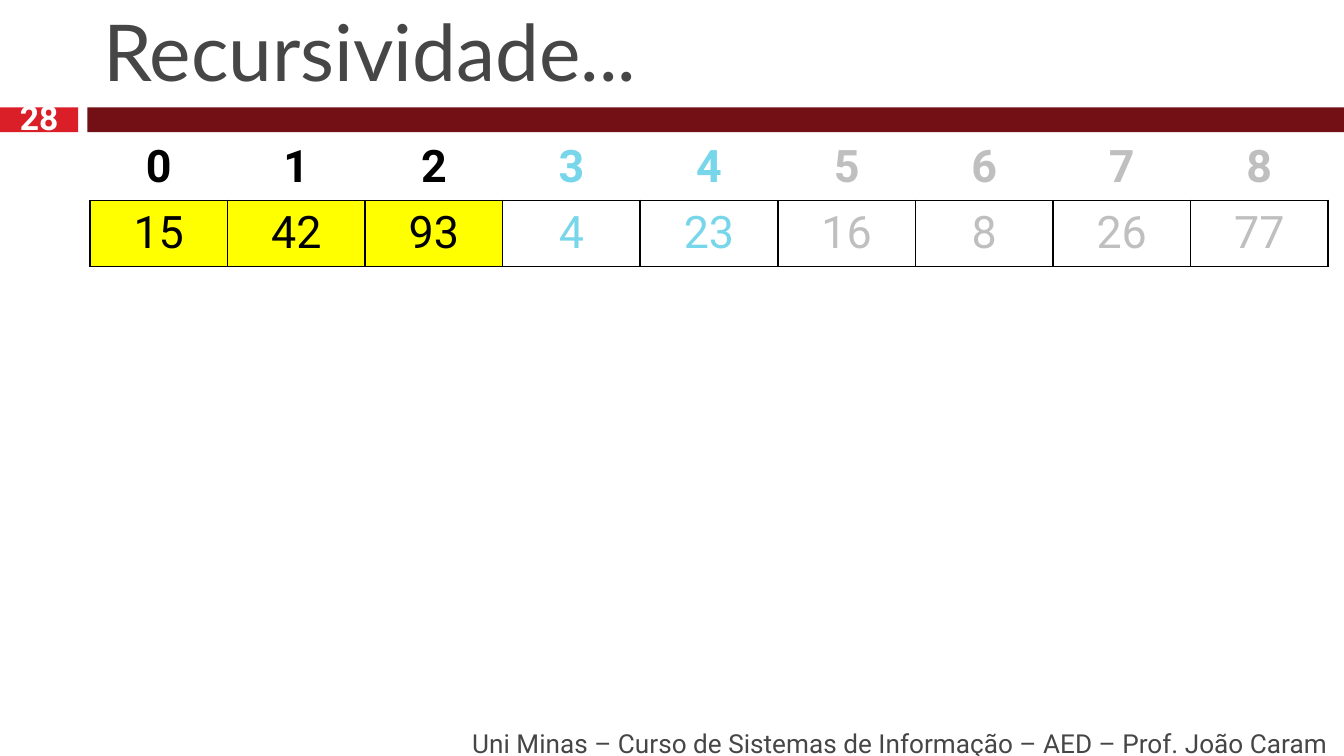
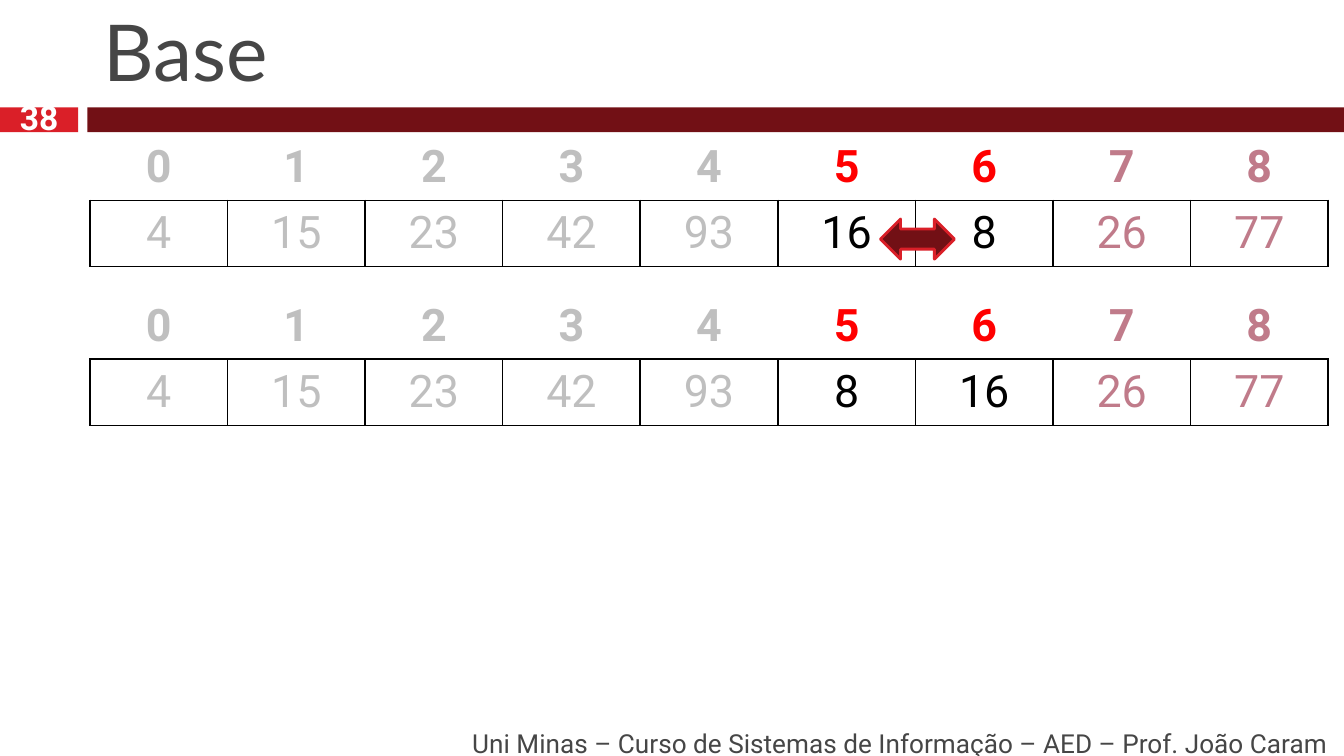
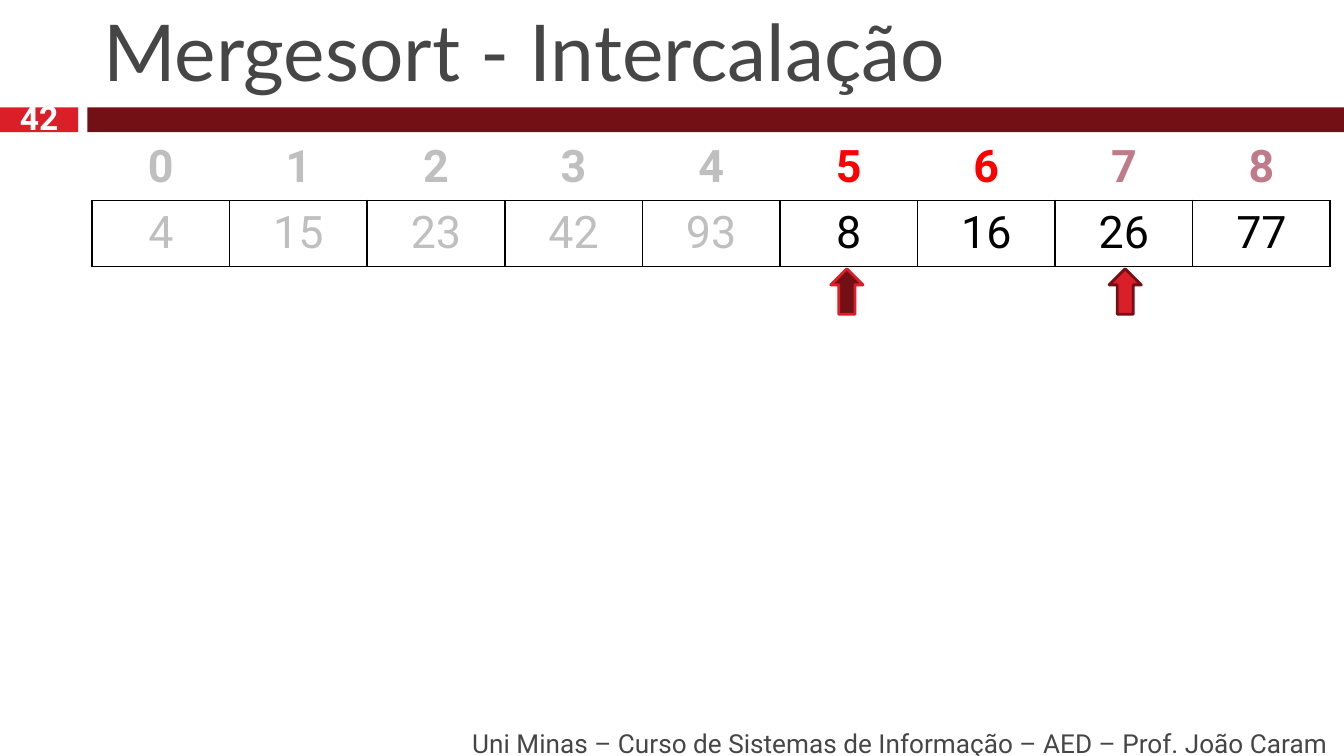
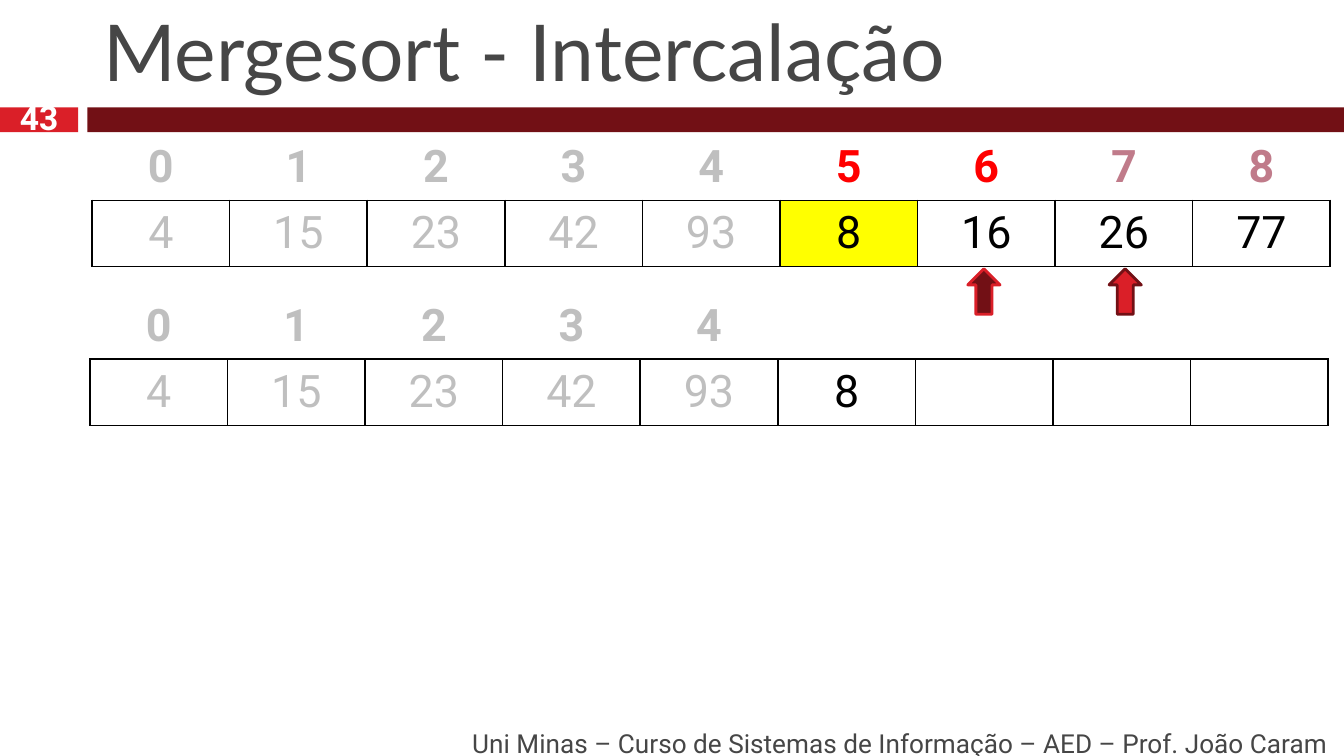
"""Build four slides that trace Mergesort over an array of nine values."""
from dataclasses import dataclass

from lxml import etree
from pptx import Presentation
from pptx.dml.color import RGBColor
from pptx.enum import shapes, text
from pptx.oxml.ns import qn
from pptx.util import Cm, Pt


@dataclass(frozen=True)
class Theme:
    red: str = "DA1F28"
    wine: str = "721015"
    ink: str = "464646"
    white: str = "FFFFFF"
    black: str = "000000"
    gray: str = "BFBFBF"
    cyan: str = "78D6EA"
    bright: str = "FF0000"
    rose: str = "C07B8A"
    yellow: str = "FFFF00"
    head_font: str = "Lato"
    body_font: str = "Roboto"
    title_size: int = 42
    cell_size: int = 24
    number_size: int = 18
    footer_size: int = 14


T = Theme()
TONES = {"k": T.black, "g": T.gray, "c": T.cyan, "r": T.bright, "p": T.rose}
FOOTER = "Uni Minas – Curso de Sistemas de Informação – AED – Prof. João Caram"
INDEXES = "0 1 2 3 4 5 6 7 8".split()
LEFT, SHIFTED = 1.7, 1.74
UPPER, LOWER = 2.54, 5.54
COLUMN, ROW = 2.6, 1.25
ARROW = shapes.MSO_SHAPE.DOWN_ARROW
SWAP = shapes.MSO_SHAPE.LEFT_RIGHT_ARROW


def write(tf, content, size, color, font=T.body_font, bold=False,
          align=text.PP_ALIGN.CENTER, anchor=text.MSO_ANCHOR.MIDDLE, inset=0):
    """Fill a text frame with one formatted paragraph."""
    tf.word_wrap = True
    tf.auto_size = text.MSO_AUTO_SIZE.NONE
    tf.vertical_anchor = anchor
    tf.margin_left = tf.margin_right = Cm(inset)
    tf.margin_top = tf.margin_bottom = Cm(inset / 2)
    p = tf.paragraphs[0]
    p.alignment = align
    r = p.add_run()
    r.text = content
    r.font.size = Pt(size)
    r.font.name = font
    r.font.bold = bold
    r.font.color.rgb = RGBColor.from_string(color)


def add_block(s, kind, box, fill, line=None):
    """Add a flat preset shape, outlined if a line colour is given."""
    sp = s.shapes.add_shape(kind, *map(Cm, box))
    sp.shadow.inherit = False
    sp.fill.solid()
    sp.fill.fore_color.rgb = RGBColor.from_string(fill)
    if line:
        sp.line.color.rgb = RGBColor.from_string(line)
        sp.line.width = Pt(1.5)
    else:
        sp.line.fill.background()
    return sp


UPPER_SORTED = dict(left=SHIFTED, top=UPPER, heads=INDEXES, head_tones="gggggrrpp",
                    values="4 15 23 42 93 8 16 26 77".split(), tones="gggggkkkk", marked=())
SLIDES = [
    dict(title="Recursividade...", number="28", arrows=[], arrays=[
        dict(left=LEFT, top=UPPER, heads=INDEXES, head_tones="kkkccgggg",
             values="15 42 93 4 23 16 8 26 77".split(), tones="kkkccgggg", marked=(0, 1, 2))]),
    dict(title="Base", number="38",
         arrows=[(SWAP, 16.64, 4.14, 1.4, 0.76, T.wine, T.red)], arrays=[
        dict(left=LEFT, top=top, heads=INDEXES, head_tones="gggggrrpp",
             values=values.split(), tones="gggggkkpp", marked=())
        for top, values in ((LOWER, "4 15 23 42 93 8 16 26 77"),
                            (UPPER, "4 15 23 42 93 16 8 26 77"))]),
    dict(title="Mergesort - Intercalação", number="42", arrays=[UPPER_SORTED],
         arrows=[(ARROW, 15.7, 5.08, 0.61, 0.86, T.wine, T.red),
                 (ARROW, 20.96, 5.08, 0.61, 0.86, T.red, T.wine)]),
    dict(title="Mergesort - Intercalação", number="43", arrays=[
        dict(left=LEFT, top=LOWER, heads=INDEXES[:5], head_tones="ggggg",
             values="4 15 23 42 93 8".split(), tones="gggggk", marked=()),
        {**UPPER_SORTED, "marked": (5,)}],
         arrows=[(ARROW, 18.29, 5.08, 0.61, 0.86, T.wine, T.red),
                 (ARROW, 20.96, 5.08, 0.61, 0.86, T.red, T.wine)]),
]

prs = Presentation()
prs.slide_width, prs.slide_height = Cm(25.4), Cm(14.29)

for content in SLIDES:
    s = prs.slides.add_slide(prs.slide_layouts[5])
    add_block(s, shapes.MSO_SHAPE.RECTANGLE, (0, 2.03, 1.48, 0.47), T.red)
    add_block(s, shapes.MSO_SHAPE.RECTANGLE, (1.65, 2.03, 23.75, 0.47), T.wine)

    title = s.shapes.title
    title.left, title.top, title.width, title.height = map(Cm, (1.7, 0.33, 23.42, 1.63))
    write(title.text_frame, content["title"], T.title_size, T.ink, font=T.head_font,
          align=text.PP_ALIGN.LEFT, anchor=text.MSO_ANCHOR.BOTTOM, inset=0.25)
    footer = s.shapes.add_textbox(*map(Cm, (2.69, 13.67, 22.66, 0.76)))
    write(footer.text_frame, FOOTER, T.footer_size, T.ink,
          align=text.PP_ALIGN.RIGHT, inset=0.25)
    number = s.shapes.add_textbox(*map(Cm, (0, 1.96, 1.48, 0.51)))
    write(number.text_frame, content["number"], T.number_size, T.white, bold=True)

    for array in content["arrays"]:
        frame = s.shapes.add_table(2, 9, Cm(array["left"]), Cm(array["top"]),
                                   Cm(9 * COLUMN), Cm(2 * ROW))
        table = frame.table
        table.first_row = table.horz_banding = False
        for column in table.columns:
            column.width = Cm(COLUMN)
        for row in table.rows:
            row.height = Cm(ROW)
        rows = ((array["heads"], array["head_tones"]), (array["values"], array["tones"]))
        for i, (labels, tones) in enumerate(rows):
            for j in range(9):
                cell = table.cell(i, j)
                tcPr = cell._tc.get_or_add_tcPr()
                for side in ("lnL", "lnR", "lnT", "lnB"):
                    ln = etree.SubElement(tcPr, qn(f"a:{side}"), w=str(Pt(1)))
                    if i == 1 or side == "lnB":
                        solid = etree.SubElement(ln, qn("a:solidFill"))
                        etree.SubElement(solid, qn("a:srgbClr"), val=T.black)
                    else:
                        etree.SubElement(ln, qn("a:noFill"))
                if i == 1 and j in array["marked"]:
                    cell.fill.solid()
                    cell.fill.fore_color.rgb = RGBColor.from_string(T.yellow)
                else:
                    cell.fill.background()
            for j, (label, tone) in enumerate(zip(labels, tones)):
                write(table.cell(i, j).text_frame, label, T.cell_size, TONES[tone],
                      bold=i == 0, inset=0.25)

    for kind, *box, fill, line in content["arrows"]:
        sp = add_block(s, kind, box, fill, line)
        if kind == ARROW:
            sp.rotation = 180

prs.save("out.pptx")
